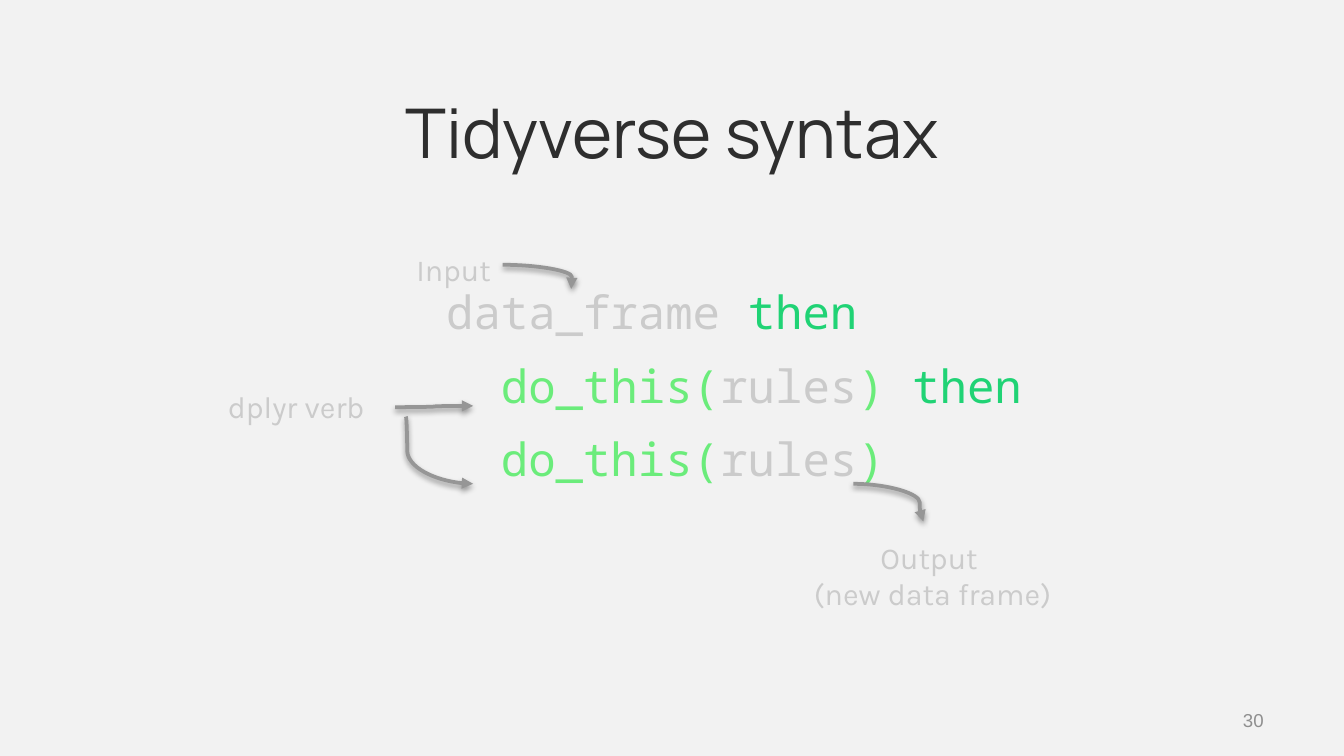
from lxml import etree
from pptx import Presentation
from pptx import util as u
from pptx.dml.color import RGBColor
from pptx.enum import shapes, text
from pptx.oxml import parse_xml
from pptx.oxml.ns import nsdecls, qn

GREY, GREEN, TEAL, DARK = "CBCBCB", "6BEC7B", "20D375", "2E2E2E"
CALL = [("  do_this(", GREEN), ("rules", GREY)]
CODE = [
    [("data_frame ", GREY), ("then", TEAL)],
    CALL + [(") ", GREEN), ("then", TEAL)],
    CALL + [(")", GREEN)],
]


def paint(color, code):
    """Set a colour from a hex string."""
    color.rgb = RGBColor.from_string(code)


def place(shape, box):
    """Move a shape into a box given in inches."""
    shape.left, shape.top, shape.width, shape.height = map(u.Inches, box)


def add_run(para, words, size, face, code):
    """Add one formatted run."""
    run = para.add_run()
    run.text = words
    run.font.size, run.font.name = u.Pt(size), face
    paint(run.font.color, code)


def add_title(slide, box):
    """Fill the title placeholder."""
    title = slide.shapes.title
    place(title, box)
    frame = title.text_frame
    frame.auto_size = text.MSO_AUTO_SIZE.NONE
    frame.vertical_anchor = text.MSO_ANCHOR.BOTTOM
    frame.margin_left = frame.margin_right = u.Inches(0.08)
    frame.margin_top = frame.margin_bottom = u.Inches(0.08)
    para = frame.paragraphs[0]
    para.alignment = text.PP_ALIGN.CENTER
    add_run(para, "Tidyverse syntax", 36.7, "Manrope", DARK)


def add_code(slide, box):
    """Fill the body placeholder with the code lines."""
    body = slide.placeholders[1]
    place(body, box)
    frame = body.text_frame
    frame.auto_size = text.MSO_AUTO_SIZE.NONE
    frame.margin_top = u.Inches(0.51)
    for i, line in enumerate(CODE):
        para = frame.add_paragraph() if i else frame.paragraphs[0]
        props = para._p.get_or_add_pPr()
        props.set("marL", str(u.Inches(2.01)))
        props.set("indent", "0")
        etree.SubElement(props, qn("a:buNone"))
        para.line_spacing = u.Pt(35.4)
        para.space_before, para.space_after = u.Pt(0), u.Pt(4)
        for words, code in line:
            add_run(para, words, 24.5, "Noto Sans Mono", code)


def add_label(slide, box, lines):
    """Add a centred label that grows with its text."""
    label = slide.shapes.add_textbox(*map(u.Inches, box))
    frame = label.text_frame
    frame.word_wrap = True
    frame.auto_size = text.MSO_AUTO_SIZE.SHAPE_TO_FIT_TEXT
    for i, words in enumerate(lines):
        para = frame.add_paragraph() if i else frame.paragraphs[0]
        para.alignment = text.PP_ALIGN.CENTER
        add_run(para, words, 16.3, "Karla", GREY)


def add_arrow(slide, ends, bend):
    """Add a curved arrow with a soft shadow."""
    arrow = slide.shapes.add_connector(
        shapes.MSO_CONNECTOR.CURVE, *map(u.Inches, ends))
    arrow.line.width = u.Pt(2)
    paint(arrow.line.color, "969696")
    props = arrow._element.spPr
    guide = etree.SubElement(props.find(qn("a:prstGeom")).find(qn("a:avLst")), qn("a:gd"))
    guide.set("name", "adj1")
    guide.set("fmla", f"val {round(bend * 100000)}")
    etree.SubElement(props.find(qn("a:ln")), qn("a:tailEnd")).set("type", "triangle")
    props.append(parse_xml(
        f'<a:effectLst {nsdecls("a")}><a:outerShdw blurRad="{u.Pt(3.1)}" '
        f'dist="{u.Pt(1.6)}" dir="5400000" rotWithShape="0"><a:srgbClr val="000000">'
        '<a:alpha val="38000"/></a:srgbClr></a:outerShdw></a:effectLst>'))


def add_number(slide, box):
    """Add the slide number."""
    frame = slide.shapes.add_textbox(*map(u.Inches, box)).text_frame
    frame.word_wrap = True
    frame.vertical_anchor = text.MSO_ANCHOR.MIDDLE
    para = frame.paragraphs[0]
    para.alignment = text.PP_ALIGN.RIGHT
    add_run(para, "30", 10, "Arial", "8F8F8F")


def main():
    """Build and save the slide."""
    deck = Presentation()
    deck.slide_width = u.Inches(10)
    deck.slide_height = deck.slide_width * 9 // 16
    slide = deck.slides.add_slide(deck.slide_layouts[1])
    fill = slide.background.fill
    fill.solid()
    paint(fill.fore_color, "F2F2F2")
    add_code(slide, (1.21, 1.52, 7.6, 3.7))
    add_title(slide, (1.52, 0.82, 6.96, 0.54))
    add_number(slide, (8.49, 5.21, 1.01, 0.3))
    add_label(slide, (2.32, 1.82, 2.11, 0.38), ["Input"])
    add_label(slide, (1.15, 2.84, 2.11, 0.38), ["dplyr verb"])
    add_label(slide, (5.09, 3.96, 3.7, 0.65), ["Output ", "(new data frame)"])
    add_arrow(slide, (3.74, 1.97, 4.25, 2.15), 1.01)
    add_arrow(slide, (2.94, 3.03, 3.52, 3.02), 0.5)
    add_arrow(slide, (6.35, 3.6, 6.87, 3.88), 0.95)
    add_arrow(slide, (3.02, 3.1, 3.52, 3.6), 0.02)
    deck.save("out.pptx")


if __name__ == "__main__":
    main()
